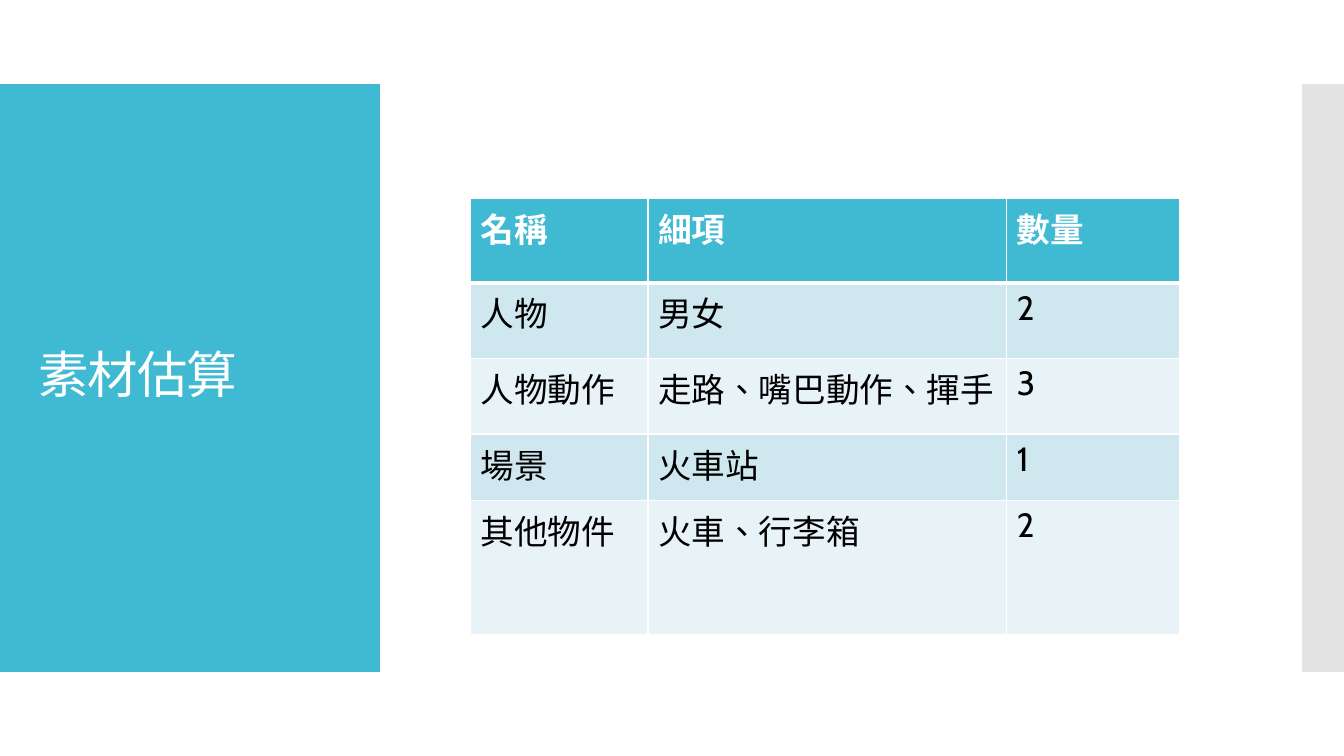
import pptx
import pptx.dml.color
import pptx.enum.lang
import pptx.enum.shapes
import pptx.enum.text
import pptx.oxml.ns
import pptx.util
from lxml import etree

Pt = pptx.util.Pt
FONT = "Cabin"
TEAL, WHITE, BLACK, GREY = "40BAD2", "FFFFFF", "000000", "C8C8C8"
BANDS = ("CFE7EE", "E8F3F7")
PANEL_TOP, PANEL_HEIGHT = 60, 420

MATERIALS = [
    ("名稱", "細項", "數量"),
    ("人物", "男女", "2"),
    ("人物動作", "走路、嘴巴動作、揮手", "3"),
    ("場景", "火車站", "1"),
    ("其他物件", "火車、行李箱", "2"),
]
COLUMN_WIDTHS = (126.7, 256.3, 123.1)
ROW_HEIGHTS = (60.5, 54, 54, 47.5, 95.8)


def colour(hex_string):
    return pptx.dml.color.RGBColor.from_string(hex_string)


def add_element(parent, tag, **attributes):
    return etree.SubElement(parent, pptx.oxml.ns.qn(tag), **attributes)


def add_run(paragraph, text, size, hex_string, bold=False):
    run = paragraph.add_run()
    run.text = text
    run.font.name = FONT
    run.font.size = Pt(size)
    run.font.bold = bold
    run.font.color.rgb = colour(hex_string)
    run.font.language_id = pptx.enum.lang.MSO_LANGUAGE_ID.TRADITIONAL_CHINESE
    return run


def add_panel(slide, left, width, hex_string, opacity=100):
    panel = slide.shapes.add_shape(
        pptx.enum.shapes.MSO_SHAPE.RECTANGLE,
        Pt(left), Pt(PANEL_TOP), Pt(width), Pt(PANEL_HEIGHT))
    panel.shadow.inherit = False
    panel.line.fill.background()
    panel.fill.solid()
    panel.fill.fore_color.rgb = colour(hex_string)
    if opacity < 100:
        rgb = panel.fill._xPr.find(".//" + pptx.oxml.ns.qn("a:srgbClr"))
        add_element(rgb, "a:alpha", val=str(opacity * 1000))


def set_title(slide, text):
    title = slide.shapes.title
    title.left, title.top, title.width, title.height = Pt(20), Pt(88.5), Pt(232), Pt(362)
    frame = title.text_frame
    frame.word_wrap = True
    frame.vertical_anchor = pptx.enum.text.MSO_ANCHOR.MIDDLE
    paragraph = frame.paragraphs[0]
    paragraph.alignment = pptx.enum.text.PP_ALIGN.LEFT
    paragraph.line_spacing = 0.9
    run = add_run(paragraph, text, 36, WHITE)
    run.font._element.set("spc", "-60")
    # Bring the title in front of the panels
    slide.shapes._spTree.append(title._element)


def set_borders(cell, top, bottom):
    properties = cell._tc.get_or_add_tcPr()
    for side, width in (("L", 1), ("R", 1), ("T", top), ("B", bottom)):
        line = add_element(properties, "a:ln" + side, w=str(Pt(width)))
        fill = add_element(line, "a:solidFill")
        add_element(fill, "a:srgbClr", val=WHITE)


def add_material_table(slide, left, top):
    table = slide.shapes.add_table(
        len(MATERIALS), len(COLUMN_WIDTHS), Pt(left), Pt(top),
        Pt(sum(COLUMN_WIDTHS)), Pt(sum(ROW_HEIGHTS))).table
    for column, width in zip(table.columns, COLUMN_WIDTHS):
        column.width = Pt(width)
    for row_index, (row, height) in enumerate(zip(table.rows, ROW_HEIGHTS)):
        row.height = Pt(height)
        header = row_index == 0
        background = TEAL if header else BANDS[(row_index - 1) % 2]
        for cell, text in zip(row.cells, MATERIALS[row_index]):
            set_borders(cell, 3 if row_index == 1 else 1, 3 if header else 1)
            cell.fill.solid()
            cell.fill.fore_color.rgb = colour(background)
            add_run(cell.text_frame.paragraphs[0], text, 24,
                    WHITE if header else BLACK, header)


def main():
    presentation = pptx.Presentation()
    presentation.slide_width, presentation.slide_height = Pt(960), Pt(540)
    slide = presentation.slides.add_slide(presentation.slide_layouts[5])

    # Side panels
    add_panel(slide, 0, 271.4, TEAL)
    add_panel(slide, 930, 30, GREY, opacity=50)

    # Title and table
    set_title(slide, "素材估算")
    add_material_table(slide, 336.2, 141.5)

    presentation.save("out.pptx")


if __name__ == "__main__":
    main()
